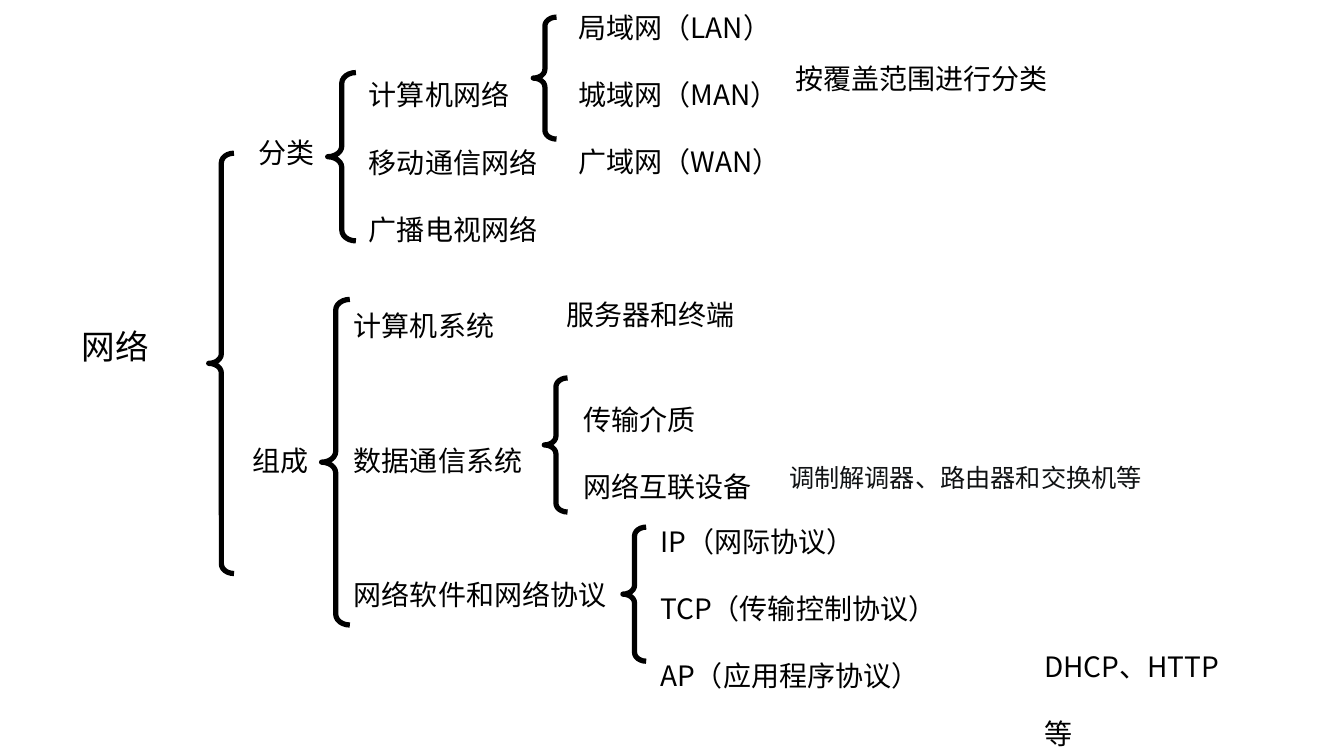
from dataclasses import dataclass

from lxml.etree import SubElement
from pptx import Presentation
from pptx.dml.color import RGBColor
from pptx.enum.shapes import MSO_SHAPE as Shape
from pptx.enum.text import MSO_ANCHOR as Anchor, MSO_AUTO_SIZE as AutoSize, PP_ALIGN as Align
from pptx.oxml.ns import qn
from pptx.util import Inches, Pt


@dataclass(frozen=True)
class Theme:
    font: str = "Noto Sans CJK SC"
    ink: RGBColor = RGBColor(0, 0, 0)
    soft_ink: RGBColor = RGBColor(0x10, 0x12, 0x14)
    root_size: int = 24
    text_size: int = 20
    remark_size: int = 18
    brace_width: float = 3.75
    list_spacing: float = 2.0
    skipped_row: int = 48


theme = Theme()
presentation = Presentation()
presentation.slide_width, presentation.slide_height = Inches(13.33), Inches(7.5)
column = presentation.slide_width / 100
row = presentation.slide_height / 100
slide = presentation.slides.add_slide(presentation.slide_layouts.get_by_name("Two Content"))
root, kinds, parts = slide.placeholders


def place(left, top, width, height):
    """Turn columns and rows of the 100 by 100 grid into slide lengths."""
    return [round(n * unit) for n, unit in zip((left, top, width, height), (column, row) * 2)]


def write(shape, area, lines, size=theme.text_size, color=theme.ink, spacing=1.0, gap=0):
    """Move a text shape to its grid area and fill it with plain, unbulleted lines."""
    shape.left, shape.top, shape.width, shape.height = place(*area)
    frame = shape.text_frame
    frame.text = "\n".join(lines)
    frame.word_wrap = True
    frame.auto_size = AutoSize.NONE
    frame.vertical_anchor = Anchor.TOP
    for index, paragraph in enumerate(frame.paragraphs):
        paragraph.alignment = Align.LEFT
        paragraph.line_spacing = spacing
        paragraph.space_before = Pt(gap if index else 0)
        properties = paragraph._p.get_or_add_pPr()
        properties.set("marL", "0")
        properties.set("indent", "0")
        SubElement(properties, qn("a:buNone"))
        for run in paragraph.runs:
            run.font.name = theme.font
            run.font.size = Pt(size)
            run.font.color.rgb = color
            SubElement(run._r.get_or_add_rPr(), qn("a:ea"), typeface=theme.font)


write(root, (5.33, 42.4, 12.08, 6.67), ["网络"], size=theme.root_size)
write(kinds, (26.7, 5.2, 17.1, 26.67), ["计算机网络", "移动通信网络", "广播电视网络"],
      spacing=theme.list_spacing)
write(parts, (25.58, 35.73, 22.5, 44.67), ["计算机系统", "数据通信系统", "网络软件和网络协议"],
      spacing=theme.list_spacing, gap=theme.skipped_row)

branch_lists = [
    ((42.3, -3.73, 18.23, 26.67), ["局域网（LAN）", "城域网（MAN）", "广域网（WAN）"]),
    ((42.68, 48.13, 18.23, 17.73), ["传输介质", "网络互联设备"]),
    ((48.38, 64.27, 25.28, 26.67), ["IP（网际协议）", "TCP（传输控制协议）", "AP（应用程序协议）"]),
    ((76.95, 80.8, 15.15, 8.67), ["DHCP、HTTP等"]),
]
for area, lines in branch_lists:
    write(slide.shapes.add_textbox(0, 0, 0, 0), area, lines, spacing=theme.list_spacing)

labels = [
    ((18.53, 17.33, 6.9, 5.87), "分类", theme.text_size, theme.ink),
    ((18.08, 58, 6.9, 11.33), "组成", theme.text_size, theme.ink),
    ((58.43, 7.47, 23.1, 5.87), "按覆盖范围进行分类", theme.text_size, theme.ink),
    ((41.4, 38.67, 23.1, 5.87), "服务器和终端", theme.text_size, theme.ink),
    ((57.98, 60.53, 31.95, 5.33), "调制解调器、路由器和交换机等", theme.remark_size, theme.soft_ink),
]
for area, label, size, color in labels:
    write(slide.shapes.add_textbox(0, 0, 0, 0), area, [label], size, color)

brace_areas = [
    (15.53, 20.27, 1.88, 55.6),
    (24.38, 9.6, 2.1, 22.27),
    (39.68, 2.27, 1.73, 16.13),
    (23.93, 39.6, 2.1, 43.07),
    (40.5, 50, 1.73, 17.73),
    (46.35, 69.73, 1.73, 17.73),
]
for area in brace_areas:
    brace = slide.shapes.add_shape(Shape.LEFT_BRACE, *place(*area))
    brace.adjustments[0], brace.adjustments[1] = 0.38, 0.5
    brace.shadow.inherit = False
    brace.fill.background()
    brace.line.color.rgb = theme.ink
    brace.line.width = Pt(theme.brace_width)

presentation.save("out.pptx")
